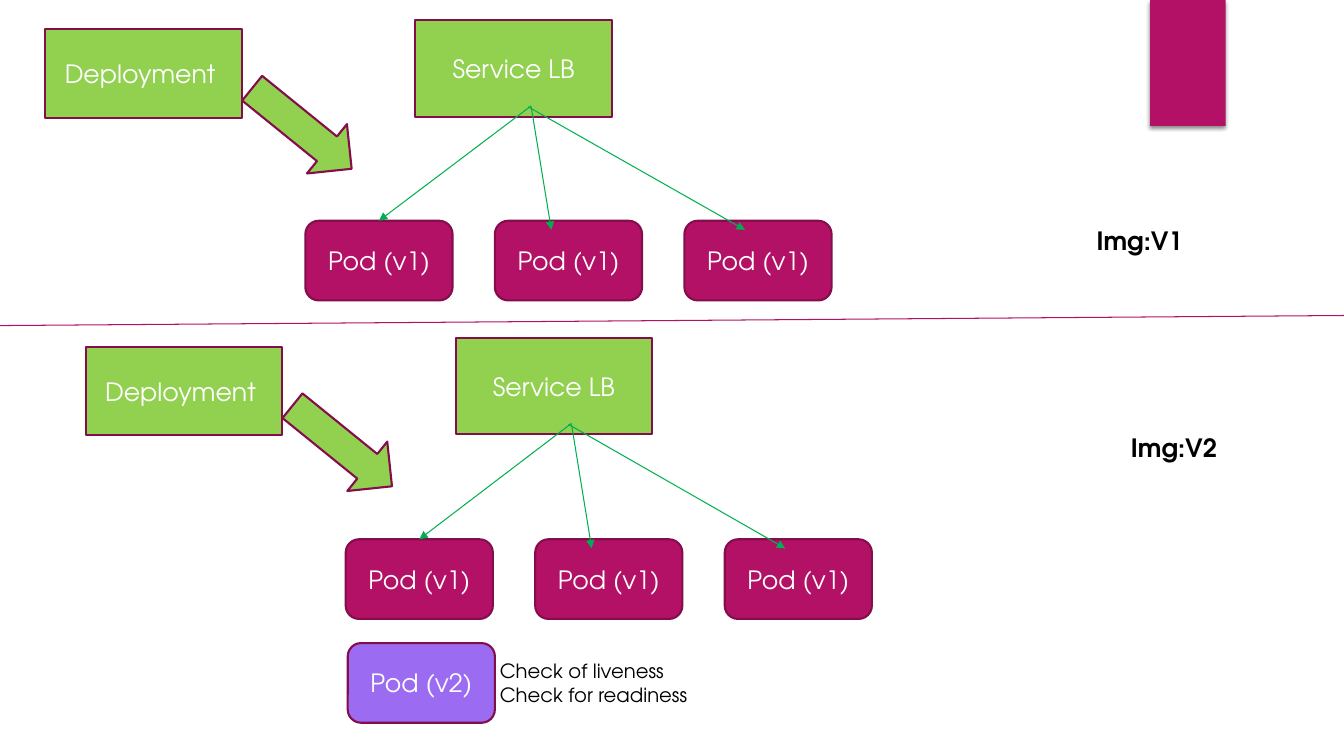
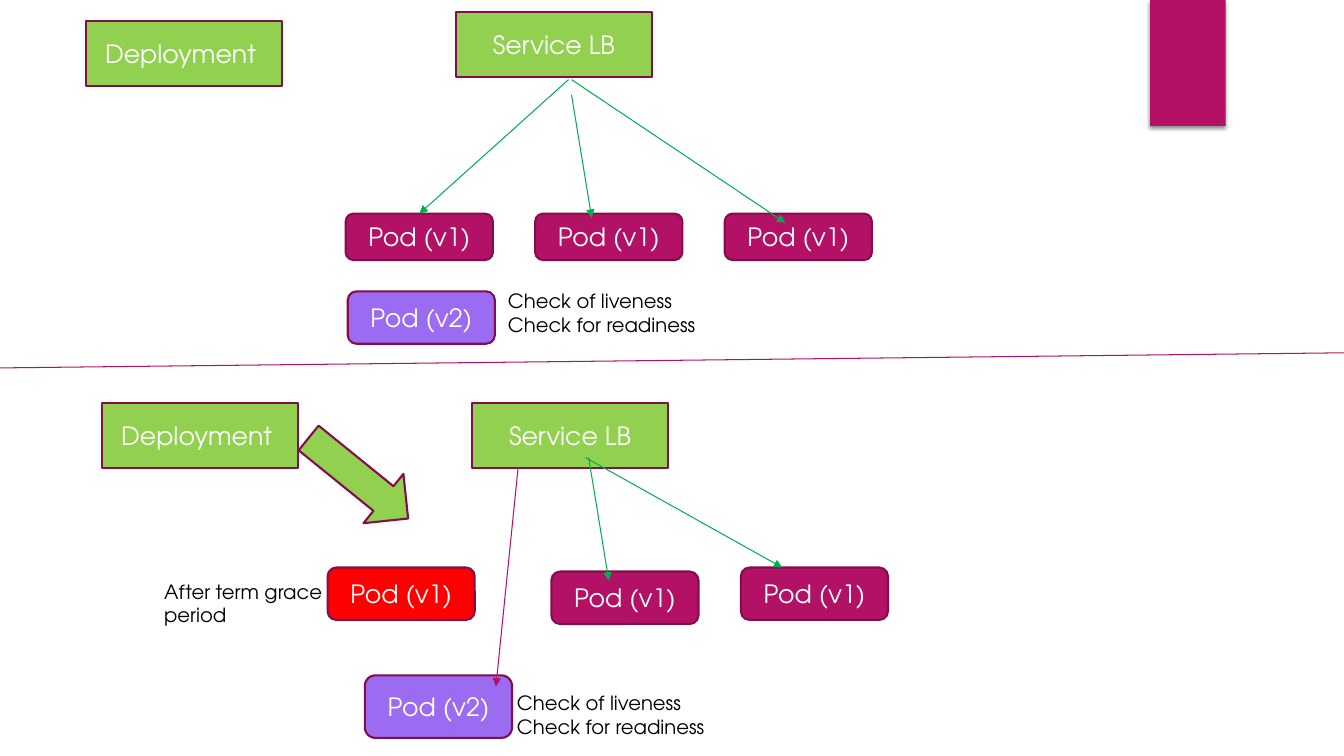
"""Build two slides that show a rolling update from pod v1 to pod v2."""
from dataclasses import dataclass

from lxml.etree import SubElement
from pptx import Presentation
from pptx.dml.color import RGBColor
from pptx.enum.shapes import MSO_CONNECTOR, MSO_SHAPE
from pptx.enum.text import MSO_ANCHOR, MSO_AUTO_SIZE, PP_ALIGN
from pptx.oxml.ns import qn
from pptx.shapes.autoshape import Shape
from pptx.shapes.connector import Connector
from pptx.slide import Slide
from pptx.util import Inches, Pt

FONT = "TeX Gyre Adventor"
MAGENTA = RGBColor(0xB3, 0x11, 0x66)
PLUM = RGBColor(0x84, 0x0D, 0x4B)
LIME = RGBColor(0x92, 0xD0, 0x50)
GREEN = RGBColor(0x00, 0xB0, 0x50)
VIOLET = RGBColor(0x9B, 0x6B, 0xF2)
RED = RGBColor(0xFF, 0x00, 0x00)
WHITE = RGBColor(0xFF, 0xFF, 0xFF)
BLACK = RGBColor(0x00, 0x00, 0x00)

CELL = Inches(0.1)
GRID_COLUMNS, GRID_ROWS = 133.33, 75
BOX_WIDTH, POD_WIDTH = 19.5, 14.6
SERVICE_OFFSET, ROLLOUT_OFFSET = 36.7, 19.1
FIRST_LANE, LANE_PITCH = 25.8, 18.8
CHECKS = "Check of liveness\nCheck for readiness"


@dataclass(frozen=True)
class Pod:
    left: float
    top: float
    height: float
    label: str = "Pod (v1)"
    fill: RGBColor = MAGENTA


@dataclass(frozen=True)
class Route:
    start: tuple[float, float]
    end: tuple[float, float]
    color: RGBColor = GREEN
    joined_pod: int | None = None


@dataclass(frozen=True)
class Note:
    text: str
    left: float
    top: float
    width: float = 35.6
    height: float = 5.7
    size: int = 14
    bold: bool = False


@dataclass(frozen=True)
class Stage:
    left: float
    deployment_top: float
    deployment_height: float
    service_top: float
    service_height: float
    pods: tuple[Pod, ...]
    routes: tuple[Route, ...]
    rolling: bool = True


@dataclass(frozen=True)
class Scene:
    stages: tuple[Stage, ...]
    divider: tuple[float, float]
    notes: tuple[Note, ...]


def grid(cells: float) -> int:
    return round(cells * CELL)


def lane(index: int) -> float:
    return FIRST_LANE + LANE_PITCH * index


def lane_pods(top: float, height: float) -> tuple[Pod, ...]:
    return tuple(Pod(lane(index), top, height) for index in range(3))


def fan(hub: float, pod_top: float) -> tuple[Route, ...]:
    return (
        Route((48.2, hub), (33.1, pod_top), joined_pod=0),
        Route((48.2, hub + 0.1), (50.2, pod_top + 0.9)),
        Route((47.9, hub + 0.1), (69.4, pod_top + 0.9)),
    )


SCENES = (
    Scene(
        stages=(
            Stage(4.5, 2.9, 8.8, 2, 9.6, lane_pods(21.9, 7.9), fan(10.5, 21.9)),
            Stage(
                8.5, 34.4, 8.8, 33.5, 9.6,
                (*lane_pods(53.5, 7.9), Pod(26, 63.8, 7.9, "Pod (v2)", VIOLET)),
                fan(42, 53.5),
            ),
        ),
        divider=(32.3, 31.3),
        notes=(
            Note("Img:V1", 107.8, 21.9, 17, 4, 18, True),
            Note("Img:V2", 111.2, 42.4, 17, 4, 18, True),
            Note(CHECKS, 48.6, 64.9),
        ),
    ),
    Scene(
        stages=(
            Stage(
                8.5, 2.1, 6.4, 1.2, 6.4,
                (*lane_pods(21.2, 4.6), Pod(26, 28.9, 5.2, "Pod (v2)", VIOLET)),
                (
                    Route((47.9, 7.9), (33.1, 21.2), joined_pod=0),
                    Route((48.2, 9.4), (50.2, 21.6)),
                    Route((48.2, 7.9), (69.4, 22.1)),
                ),
                rolling=False,
            ),
            Stage(
                10.1, 40, 6.4, 40, 6.4,
                (
                    Pod(22.4, 56.3, 5.2, fill=RED),
                    Pod(lane(1), 56.7, 5.2),
                    Pod(lane(2), 56.3, 5.2),
                    Pod(26.1, 67, 6.2, "Pod (v2)", VIOLET),
                ),
                (
                    Route((48.3, 45.4), (50.3, 57.6)),
                    Route((48, 45.4), (67.5, 56.3)),
                    Route((41.3, 46.4), (39.1, 68.1), MAGENTA),
                ),
            ),
        ),
        divider=(36.5, 35),
        notes=(
            Note(CHECKS, 49.4, 28.2),
            Note(CHECKS, 50.3, 68.1),
            Note("After term grace period", 15.3, 57, 19),
        ),
    ),
)


def add_block(slide: Slide, preset: MSO_SHAPE, left: float, top: float,
              width: float, height: float, fill: RGBColor, label: str = "") -> Shape:
    block = slide.shapes.add_shape(
        preset, grid(left), grid(top), grid(width), grid(height))
    block.shadow.inherit = False
    block.fill.solid()
    block.fill.fore_color.rgb = fill
    block.line.color.rgb = PLUM
    block.line.width = Pt(1.5)
    if label:
        block.text_frame.text = label
        block.text_frame.vertical_anchor = MSO_ANCHOR.MIDDLE
        style_text(block, 18, WHITE)
        block.text_frame.paragraphs[0].alignment = PP_ALIGN.CENTER
    return block


def style_text(holder: Shape, size: int, color: RGBColor, bold: bool = False) -> None:
    for paragraph in holder.text_frame.paragraphs:
        paragraph.font.name = FONT
        paragraph.font.size = Pt(size)
        paragraph.font.bold = bold
        paragraph.font.color.rgb = color


def add_line(slide: Slide, start: tuple[float, float], end: tuple[float, float],
             color: RGBColor, arrow: bool = False) -> Connector:
    line = slide.shapes.add_connector(
        MSO_CONNECTOR.STRAIGHT, *map(grid, start), *map(grid, end))
    line.line.color.rgb = color
    line.line.width = Pt(0.75)
    properties = line.element.spPr
    if arrow:
        SubElement(properties.find(qn("a:ln")), qn("a:tailEnd"), type="triangle")
    SubElement(properties, qn("a:effectLst"))
    return line


def add_note(slide: Slide, note: Note) -> None:
    caption = slide.shapes.add_textbox(
        grid(note.left), grid(note.top), grid(note.width), grid(note.height))
    caption.text_frame.word_wrap = True
    caption.text_frame.auto_size = MSO_AUTO_SIZE.SHAPE_TO_FIT_TEXT
    caption.text_frame.text = note.text
    style_text(caption, note.size, BLACK, note.bold)


def add_stage(slide: Slide, stage: Stage) -> None:
    add_block(slide, MSO_SHAPE.RECTANGLE, stage.left, stage.deployment_top,
              BOX_WIDTH, stage.deployment_height, LIME, "Deployment ")
    add_block(slide, MSO_SHAPE.RECTANGLE, stage.left + SERVICE_OFFSET,
              stage.service_top, BOX_WIDTH, stage.service_height, LIME, "Service LB")
    pods = [
        add_block(slide, MSO_SHAPE.ROUNDED_RECTANGLE, stage.left + pod.left,
                  pod.top, POD_WIDTH, pod.height, pod.fill, pod.label)
        for pod in stage.pods
    ]
    for route in stage.routes:
        (start_x, start_y), (end_x, end_y) = route.start, route.end
        line = add_line(slide, (stage.left + start_x, start_y),
                        (stage.left + end_x, end_y), route.color, arrow=True)
        if route.joined_pod is not None:
            line.end_connect(pods[route.joined_pod], 0)
    if stage.rolling:
        rollout_top = stage.deployment_top + stage.deployment_height - 2.1
        rollout = add_block(slide, MSO_SHAPE.RIGHT_ARROW, stage.left + ROLLOUT_OFFSET,
                            rollout_top, 12.7, 6.3, LIME)
        rollout.rotation = 39


def add_master_band(slide: Slide) -> None:
    band = add_block(slide, MSO_SHAPE.RECTANGLE, 114.1, 0, 7.5, 12.5, MAGENTA)
    band.line.fill.background()
    effects = band.element.spPr.find(qn("a:effectLst"))
    shadow = SubElement(effects, qn("a:outerShdw"), blurRad=str(Pt(3)),
                        dist=str(Pt(2)), dir="5400000", rotWithShape="0")
    tint = SubElement(shadow, qn("a:srgbClr"), val=str(BLACK))
    SubElement(tint, qn("a:alpha"), val="45000")
    slide.slide_layout.slide_master.shapes.element.append(band.element)


def main() -> None:
    deck = Presentation()
    deck.slide_width = grid(GRID_COLUMNS)
    deck.slide_height = grid(GRID_ROWS)
    blank = deck.slide_layouts[6]
    slides = [deck.slides.add_slide(blank) for _ in SCENES]
    add_master_band(slides[0])
    for slide, scene in zip(slides, SCENES):
        for stage in scene.stages:
            add_stage(slide, stage)
        left_end, right_end = scene.divider
        add_line(slide, (0, left_end), (GRID_COLUMNS, right_end), MAGENTA)
        for note in scene.notes:
            add_note(slide, note)
    deck.save("out.pptx")


if __name__ == "__main__":
    main()
